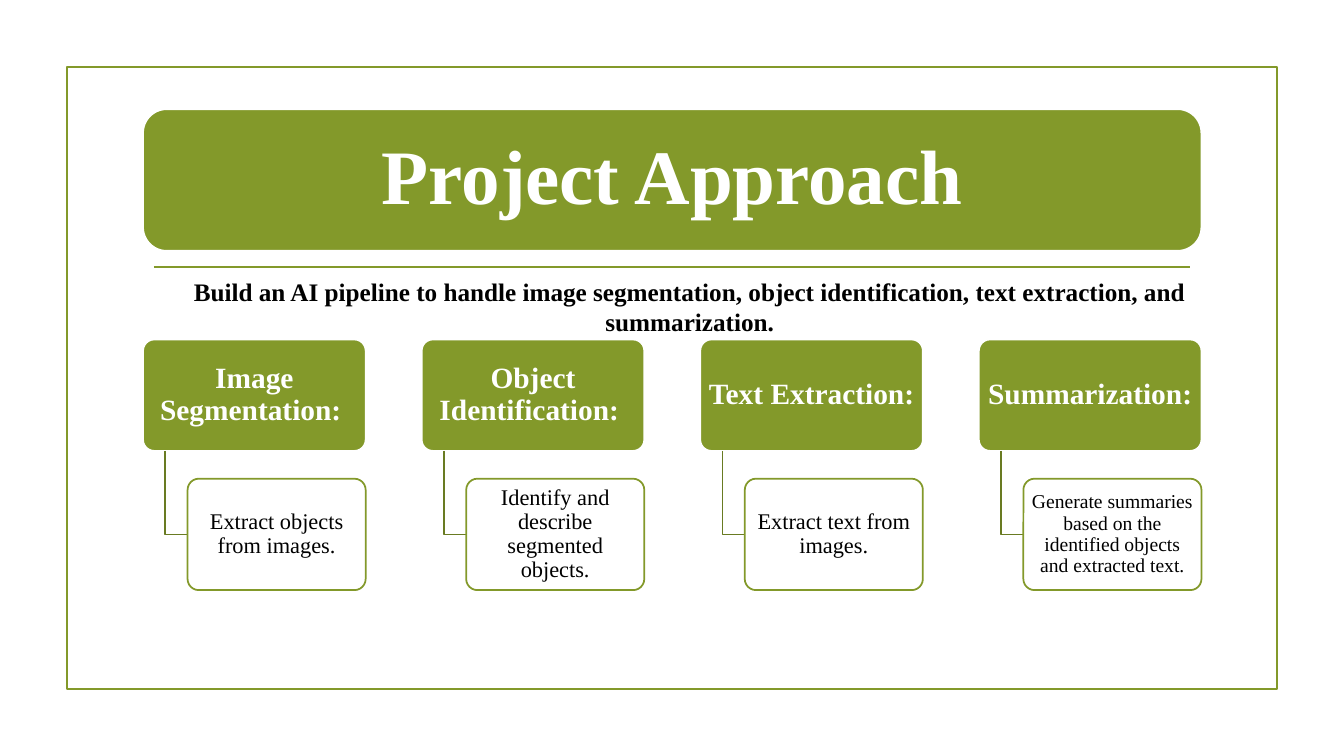
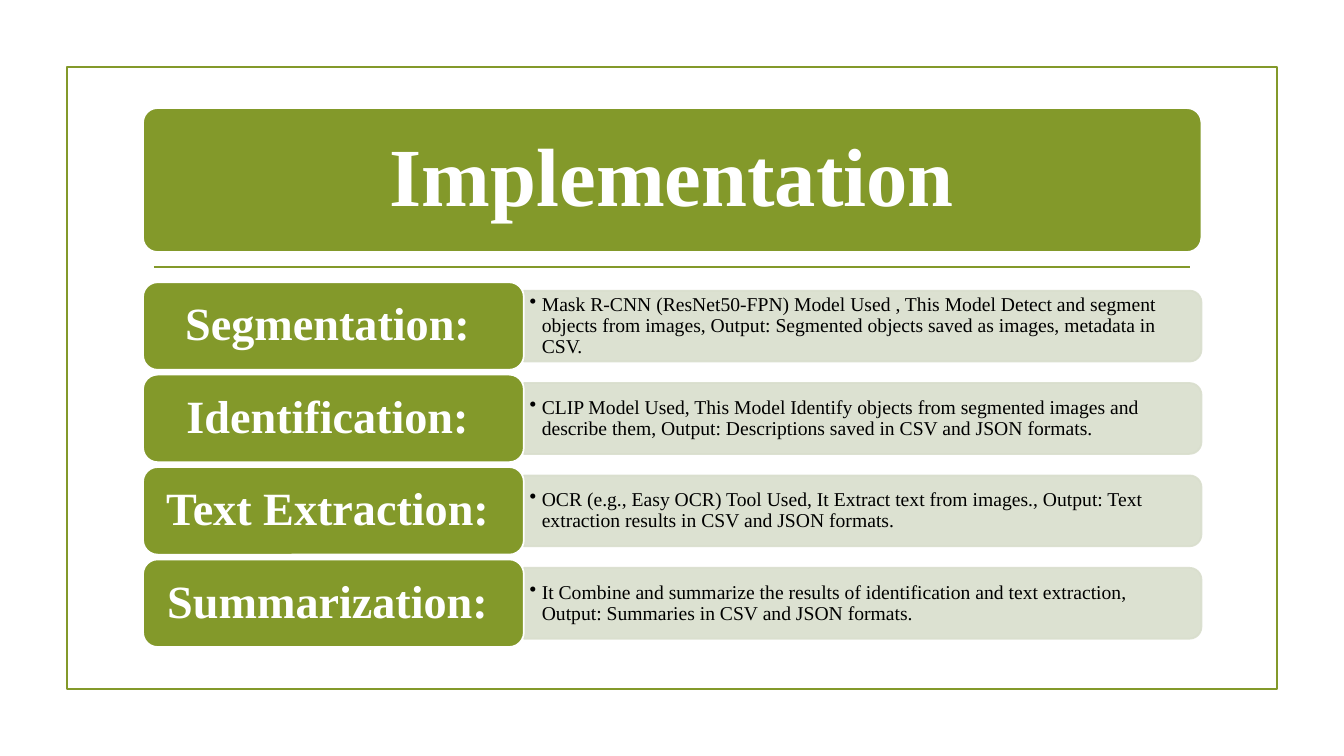
from dataclasses import dataclass

from lxml.etree import SubElement
from pptx import Presentation
from pptx.dml.color import RGBColor
from pptx.enum.shapes import MSO_CONNECTOR, MSO_SHAPE
from pptx.enum.text import MSO_ANCHOR, MSO_AUTO_SIZE, PP_ALIGN
from pptx.oxml.ns import qn
from pptx.util import Pt


@dataclass(frozen=True)
class Theme:
    font: str = "Times New Roman"
    olive: str = "83992A"
    dark_olive: str = "697B22"
    sage: str = "D9DECD"
    white: str = "FFFFFF"
    black: str = "000000"
    line: float = 1.25
    alpha: int = 90
    tight: float = 0.9
    heading: int = 21
    lead: int = 18
    body: int = 16
    small: int = 14
    row_label: int = 33


@dataclass(frozen=True)
class Box:
    left: float
    top: float
    width: float
    height: float

    @property
    def lengths(self):
        return Pt(self.left), Pt(self.top), Pt(self.width), Pt(self.height)

    @property
    def middle(self):
        return self.top + self.height / 2


THEME = Theme()
SLIDE_WIDTH, SLIDE_HEIGHT = 960, 540
FRAME = Box(48, 48, 864, 444)
RULE = Box(110, 190.8, 740.3, 0)
CONTENT_LEFT, CONTENT_WIDTH = 102.2, 756

APPROACH = [
    ("Image Segmentation: ", "Extract objects from images.", THEME.body),
    ("Object Identification: ", "Identify and describe segmented objects.", THEME.body),
    ("Text Extraction: ", "Extract text from images.", THEME.body),
    ("Summarization: ", "Generate summaries based on the identified objects "
     "and extracted text.", THEME.small),
]
STEPS = [
    ("Segmentation: ", "Mask R-CNN (ResNet50-FPN) Model Used , This Model Detect and "
     "segment objects from images, Output: Segmented objects saved as images, "
     "metadata in CSV."),
    ("Identification: ", "CLIP Model Used, This Model Identify objects from segmented "
     "images and describe them, Output: Descriptions saved in CSV and JSON formats."),
    ("Text Extraction: ", "OCR (e.g., Easy OCR) Tool Used, It Extract text from "
     "images., Output: Text extraction results in CSV and JSON formats."),
    ("Summarization: ", "It Combine and summarize the results of identification and "
     "text extraction, Output: Summaries in CSV and JSON formats."),
]


def rgb(color):
    return RGBColor.from_string(color)


def write(shape, text, *, size, color=THEME.black, bold=False, align=PP_ALIGN.CENTER,
          anchor=MSO_ANCHOR.MIDDLE, spacing=THEME.tight, inset=(0, 0), bullet_indent=0):
    """Fill a shape with one paragraph; inset is (sides, top and bottom)."""
    frame = shape.text_frame
    frame.word_wrap = True
    frame.auto_size = MSO_AUTO_SIZE.NONE
    frame.vertical_anchor = anchor
    frame.margin_left = frame.margin_right = Pt(inset[0])
    frame.margin_top = frame.margin_bottom = Pt(inset[1])
    paragraph = frame.paragraphs[0]
    paragraph.alignment = align
    paragraph.line_spacing = spacing
    if bullet_indent:
        properties = paragraph._p.get_or_add_pPr()
        properties.set("marL", str(Pt(bullet_indent)))
        properties.set("indent", str(-Pt(bullet_indent)))
        SubElement(properties, qn("a:buChar"), char="•")
    run = paragraph.add_run()
    run.text = text
    run.font.name = THEME.font
    run.font.size = Pt(size)
    run.font.bold = bold
    run.font.color.rgb = rgb(color)


def set_line(shape, color):
    shape.line.color.rgb = rgb(color)
    shape.line.width = Pt(THEME.line)


def add_panel(slide, box, *, fill=None, line, kind=MSO_SHAPE.ROUNDED_RECTANGLE,
              corner=None, alpha=None):
    """Add a preset shape; alpha is the opacity, in percent, of its fill colour."""
    panel = slide.shapes.add_shape(kind, *box.lengths)
    panel.shadow.inherit = False
    if corner is not None:
        panel.adjustments[0] = corner
    if fill:
        panel.fill.solid()
        panel.fill.fore_color.rgb = rgb(fill)
    else:
        panel.fill.background()
    set_line(panel, line)
    if alpha:
        for color in panel.element.spPr.xpath(f".//a:srgbClr[@val='{fill}']"):
            SubElement(color, qn("a:alpha"), val=str(alpha * 1000))
    return panel


def add_text_box(slide, box, text, **text_format):
    write(slide.shapes.add_textbox(*box.lengths), text, **text_format)


def move_frame_to_layout(slide):
    """Draw the frame and rule, then hand them to the layout all slides share."""
    frame = add_panel(slide, FRAME, line=THEME.olive, kind=MSO_SHAPE.RECTANGLE)
    rule = slide.shapes.add_connector(
        MSO_CONNECTOR.STRAIGHT, Pt(RULE.left), Pt(RULE.top),
        Pt(RULE.left + RULE.width), Pt(RULE.top))
    set_line(rule, THEME.olive)
    SubElement(rule.element.spPr, qn("a:effectLst"))
    for shape_id, part in enumerate((frame, rule), start=20):
        part.element.xpath(".//p:cNvPr")[0].set("id", str(shape_id))
        slide.slide_layout.shapes.element.append(part.element)


def add_title(slide, box, text, *, size, corner=None):
    title = slide.shapes.title
    band = add_panel(slide, box, fill=THEME.olive, line=THEME.white, corner=corner)
    title.element.addprevious(band.element)
    title.left, title.top, title.width, title.height = box.lengths
    write(title, text, size=size, color=THEME.white, bold=True)


def add_elbow(slide, left, top, right, bottom):
    builder = slide.shapes.build_freeform(Pt(left), Pt(top))
    builder.add_line_segments(
        [(Pt(left), Pt(bottom)), (Pt(right), Pt(bottom))], close=False)
    elbow = builder.convert_to_shape()
    elbow.shadow.inherit = False
    elbow.fill.background()
    set_line(elbow, THEME.dark_olive)


def add_branch(slide, box, heading, detail, detail_size):
    """Place a heading and, indented below it, the detail it leads to."""
    height = box.height / 2.25
    header = Box(box.left, box.top, box.width, height)
    child = Box(box.left + box.width * 0.2, box.top + height * 1.25,
                box.width * 0.8, height)
    header_panel = add_panel(slide, header, fill=THEME.olive, line=THEME.white, corner=0.1)
    write(header_panel, heading, size=THEME.heading, color=THEME.white, bold=True,
          inset=(2.9, 2))
    add_elbow(slide, box.left + box.width * 0.1, box.top + height,
              child.left, child.middle)
    child_panel = add_panel(slide, child, fill=THEME.white, line=THEME.olive,
                            corner=0.1, alpha=THEME.alpha)
    write(child_panel, detail, size=detail_size, inset=(2.2, 1.5))


def add_branches(slide, box, branches):
    pitch, width = 199, 159
    for index, branch in enumerate(branches):
        column = Box(box.left + index * pitch, box.top, width, box.height)
        add_branch(slide, column, *branch)


def add_step(slide, box, label, detail):
    """Place an olive label and, to its right, a band with rounded right corners."""
    label_width, band_height = 272, 50.6
    band = Box(box.left + label_width, box.middle - band_height / 2,
               box.width - label_width, band_height)
    center = band.left + band.width / 2
    upright = Box(center - band.height / 2, band.middle - band.width / 2,
                  band.height, band.width)
    band_panel = add_panel(slide, upright, fill=THEME.sage, line=THEME.sage,
                           kind=MSO_SHAPE.ROUND_2_SAME_RECTANGLE, alpha=THEME.alpha)
    band_panel.rotation = 90
    add_text_box(slide, Box(band.left, band.top, band.width - 2.4, band.height), detail,
                 size=THEME.small, align=PP_ALIGN.LEFT, inset=(4.2, 2.1),
                 bullet_indent=8.64)
    label_panel = add_panel(slide, Box(box.left, box.top, label_width, box.height),
                            fill=THEME.olive, line=THEME.white)
    write(label_panel, label, size=THEME.row_label, color=THEME.white, bold=True,
          inset=(10, 5))


def add_steps(slide, box, steps):
    gap = 3.4
    height = (box.height - gap * (len(steps) - 1)) / len(steps)
    for index, step in enumerate(steps):
        row = Box(box.left, box.top + index * (height + gap), box.width, height)
        add_step(slide, row, *step)


def build_approach(slide):
    add_title(slide, Box(CONTENT_LEFT, 78, CONTENT_WIDTH, 101.2),
              "Project Approach", size=55)
    add_branches(slide, Box(CONTENT_LEFT, 242.5, CONTENT_WIDTH, 179), APPROACH)
    add_text_box(slide, Box(CONTENT_LEFT, 193.7, 781, 51),
                 "Build an AI pipeline to handle image segmentation, object "
                 "identification, text extraction, and summarization.",
                 size=THEME.lead, bold=True, anchor=MSO_ANCHOR.TOP, spacing=1.0,
                 inset=(7.2, 3.6))


def build_implementation(slide):
    add_title(slide, Box(CONTENT_LEFT, 77.2, CONTENT_WIDTH, 102.8),
              "Implementation", size=59, corner=0.1)
    add_steps(slide, Box(CONTENT_LEFT, 201.6, CONTENT_WIDTH, 260.6), STEPS)


def main():
    presentation = Presentation()
    presentation.slide_width = Pt(SLIDE_WIDTH)
    presentation.slide_height = Pt(SLIDE_HEIGHT)
    title_only = presentation.slide_layouts[5]
    approach, implementation = (
        presentation.slides.add_slide(title_only) for _ in range(2))
    move_frame_to_layout(approach)
    build_approach(approach)
    build_implementation(implementation)
    presentation.save("out.pptx")


if __name__ == "__main__":
    main()
